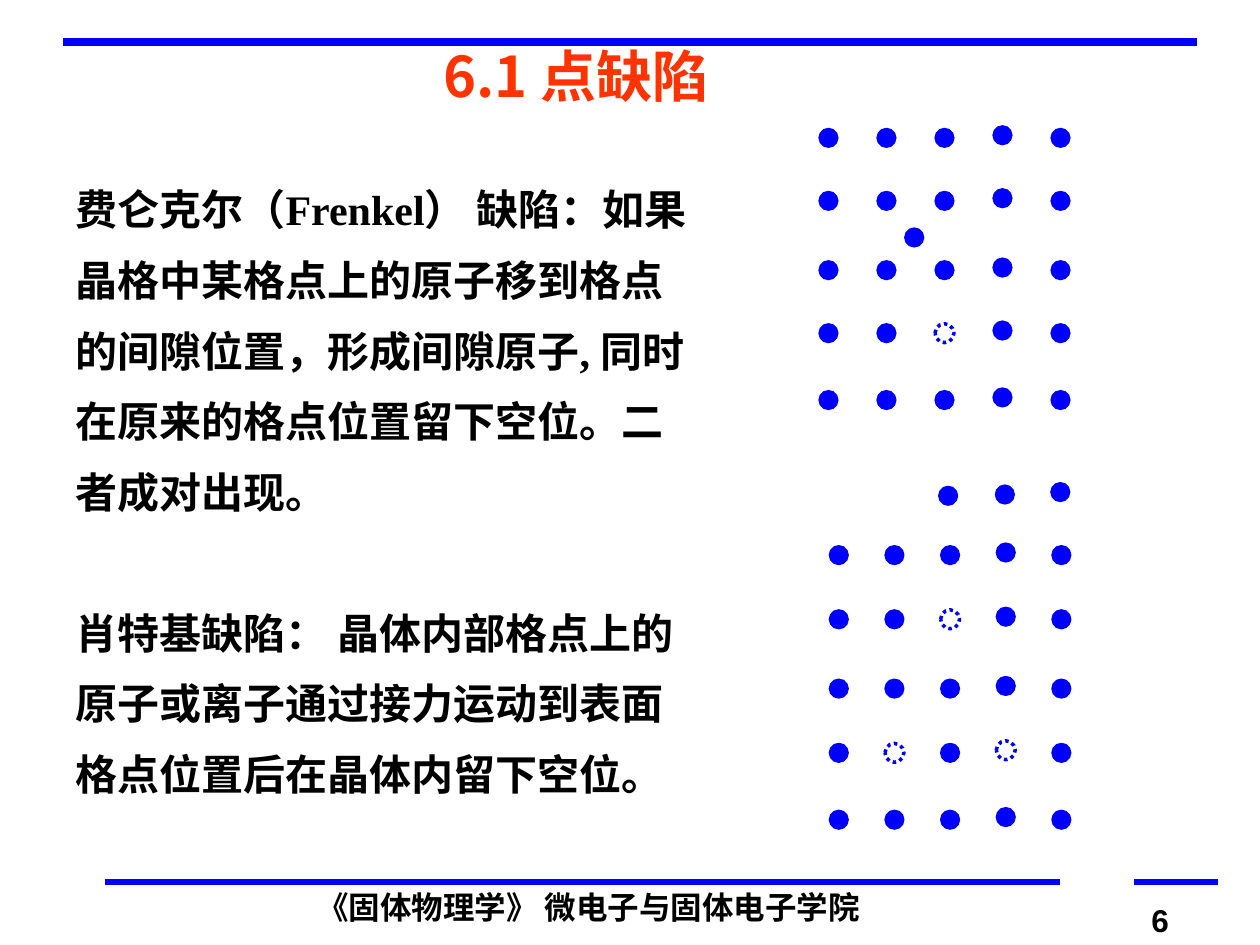
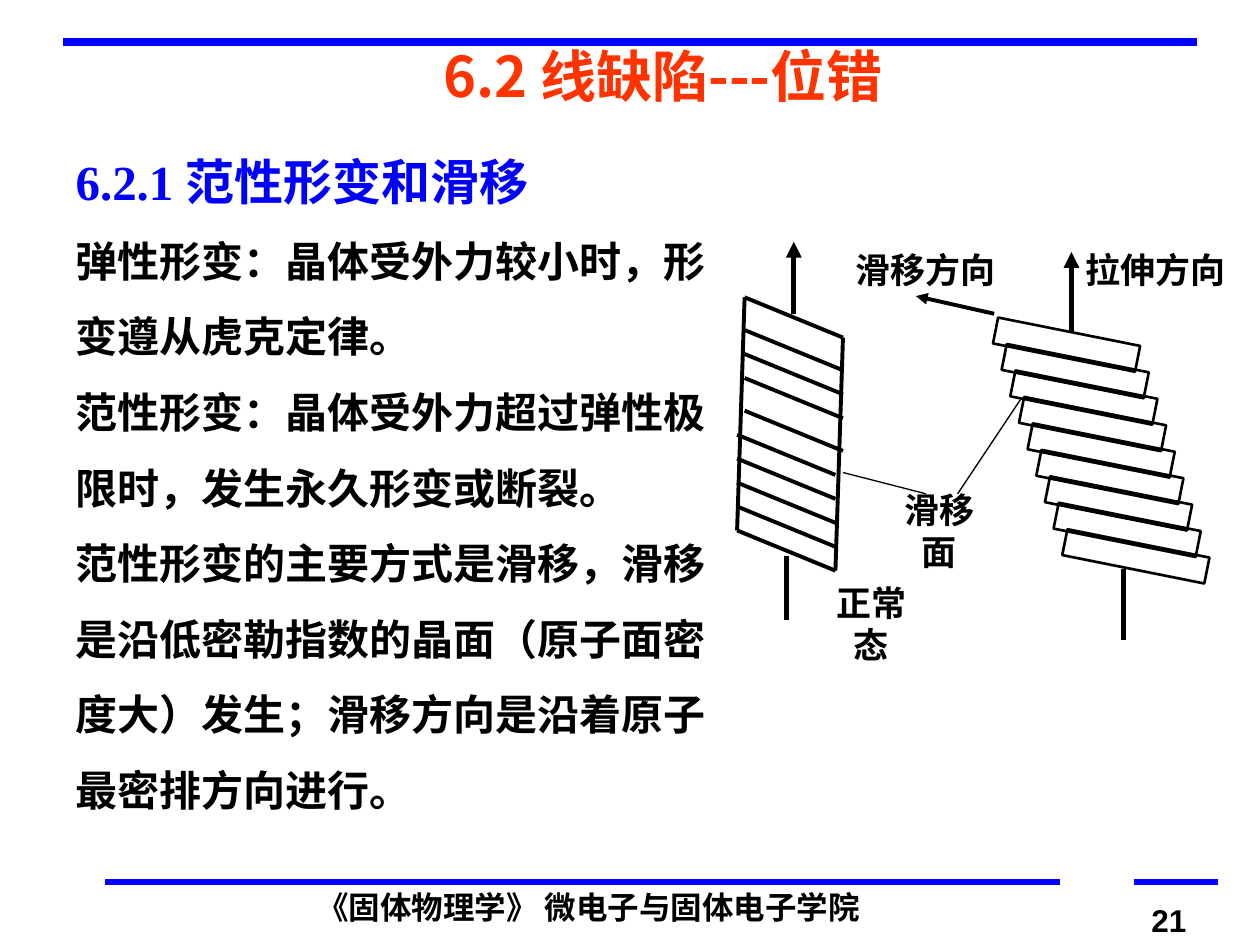
from lxml.etree import SubElement
from pptx import Presentation
from pptx.dml.color import RGBColor
from pptx.enum.dml import MSO_LINE
from pptx.enum.shapes import MSO_CONNECTOR, MSO_SHAPE
from pptx.enum.text import MSO_ANCHOR, MSO_AUTO_SIZE, PP_ALIGN
from pptx.oxml.ns import qn
from pptx.util import Pt

BLUE = RGBColor(0x00, 0x00, 0xFF)
RED = RGBColor(0xFF, 0x33, 0x00)
BLACK = RGBColor(0x00, 0x00, 0x00)
WHITE = RGBColor(0xFF, 0xFF, 0xFF)
SANS, SERIF, NUMERALS = "Noto Sans CJK SC", "Times New Roman", "Arial"


def style_text(p, size, color, font, align=PP_ALIGN.LEFT):
    p.alignment = align
    for r in p.runs:
        r.font.size, r.font.bold, r.font.name = Pt(size), True, font
        r.font.color.rgb = color
        SubElement(r._r.get_or_add_rPr(), qn("a:ea"), typeface=SANS)


def add_line(shapes, x1, y1, x2, y2, color, width, arrow=False):
    c = shapes.add_connector(MSO_CONNECTOR.STRAIGHT, Pt(x1), Pt(y1), Pt(x2), Pt(y2))
    c.line.color.rgb = color
    c.line.width = Pt(width)
    spPr = c._element.spPr
    if arrow:
        SubElement(spPr.find(qn("a:ln")), qn("a:tailEnd"), type="triangle")
    SubElement(spPr, qn("a:effectLst"))


prs = Presentation()
prs.slide_width, prs.slide_height = Pt(720), Pt(540)

# Content: title, title width, page number, body box, line spacing,
# space before the last paragraph, body paragraphs (text, size, colour), labels
FOOTER = "《固体物理学》 微电子与固体电子学院"
pages = [
    ("6.1 点缺陷", 292, "6", (36, 90, 372, 396), 1.4, 40.3, [
        ("费仑克尔（Frenkel） 缺陷：如果晶格中某格点上的原子移到格点的间隙位置，"
         "形成间隙原子, 同时在原来的格点位置留下空位。二者成对出现。", 24, BLACK),
        ("肖特基缺陷： 晶体内部格点上的原子或离子通过接力运动到表面格点位置后"
         "在晶体内留下空位。", 24, BLACK),
    ], []),
    ("6.2 线缺陷---位错", 330, "21", (36, 66, 378, 420), 1.5, 0, [
        ("6.2.1 范性形变和滑移", 28, BLUE),
        ("弹性形变：晶体受外力较小时，形变遵从虎克定律。", 24, BLACK),
        ("范性形变：晶体受外力超过弹性极限时，发生永久形变或断裂。", 24, BLACK),
        ("范性形变的主要方式是滑移，滑移是沿低密勒指数的晶面（原子面密度大）发生；"
         "滑移方向是沿着原子最密排方向进行。", 24, BLACK),
    ], [
        ("正常态", 460.8, 329, 74.2, PP_ALIGN.CENTER),
        ("滑移面", 499.7, 275.8, 74.2, PP_ALIGN.CENTER),
        ("滑移方向", 481.7, 138.2, 94.3, PP_ALIGN.CENTER),
        ("拉伸方向", 613.4, 138.2, 94.3, PP_ALIGN.LEFT),
    ]),
]

# Frame, title, body and labels of every slide
for title, title_width, number, box, spacing, last_gap, body, labels in pages:
    s = prs.slides.add_slide(prs.slide_layouts[1])
    for x1, x2, y, width in [(36, 684, 24, 4.5), (60, 606, 504, 3), (648, 696, 504, 3)]:
        add_line(s.shapes, x1, y, x2, y, BLUE, width)

    sp = s.shapes.title
    sp.left, sp.top, sp.width, sp.height = Pt(246), Pt(20), Pt(title_width), Pt(46)
    tf = sp.text_frame
    tf.text = title
    tf.vertical_anchor, tf.auto_size = MSO_ANCHOR.TOP, MSO_AUTO_SIZE.NONE
    style_text(tf.paragraphs[0], 32, RED, SANS)

    sp = s.placeholders[1]
    sp.left, sp.top, sp.width, sp.height = [Pt(v) for v in box]
    tf = sp.text_frame
    tf.auto_size = MSO_AUTO_SIZE.NONE
    tf.text = "\n".join(text for text, size, color in body)
    for p, (text, size, color) in zip(tf.paragraphs, body):
        style_text(p, size, color, SERIF)
        p.line_spacing, p.space_before = spacing, Pt(0)
        pPr = p._p.get_or_add_pPr()
        pPr.set("marL", "0")
        pPr.set("indent", "0")
        SubElement(pPr, qn("a:buNone"))
    tf.paragraphs[-1].space_before = Pt(last_gap)

    boxes = [(FOOTER, 174.2, 504, 331.2, 29, 18, SANS, PP_ALIGN.LEFT),
             (number, 650.9, 511.2, 101.5, 29, 18, NUMERALS, PP_ALIGN.LEFT)]
    boxes += [(text, x, y, w, 31.7, 20, SERIF, align) for text, x, y, w, align in labels]
    for text, x, y, w, h, size, font, align in boxes:
        tf = s.shapes.add_textbox(Pt(x), Pt(y), Pt(w), Pt(h)).text_frame
        tf.text = text
        tf.word_wrap, tf.auto_size = False, MSO_AUTO_SIZE.SHAPE_TO_FIT_TEXT
        style_text(tf.paragraphs[0], size, BLACK, font, align)

point_slide, line_slide = prs.slides

# Point defects: left, column step, row tops, vacancies (row, column), extra atoms
ATOM = 10.8
lattices = [
    (468, 33.15, [73.4, 109.4, 149, 185, 223.2], {(3, 2)}, [(517, 130.3)]),
    (473.9, 31.8, [311.8, 348.5, 388.1, 424.8, 463], {(1, 2), (3, 1), (3, 3)},
     [(600.5, 275.8), (568.8, 277.2), (536.4, 277.9)]),
]
for left, step, tops, vacancies, extras in lattices:
    group = point_slide.shapes.add_group_shape()
    # The fourth column sits slightly higher
    atoms = [(left + col * step, top - (1.5 if col == 3 else 0), (row, col) in vacancies)
             for row, top in enumerate(tops) for col in range(5)]
    atoms += [(x, y, False) for x, y in extras]
    for x, y, vacant in atoms:
        sp = group.shapes.add_shape(MSO_SHAPE.OVAL, Pt(x), Pt(y), Pt(ATOM), Pt(ATOM))
        sp.shadow.inherit = False
        sp.fill.solid()
        sp.fill.fore_color.rgb = WHITE if vacant else BLUE
        sp.line.color.rgb = BLUE
        sp.line.width = Pt(2 if vacant else 0.75)
        if vacant:
            sp.line.dash_style = MSO_LINE.ROUND_DOT

# Crystal in its normal state: two sides, slip planes, pulling force
crystal = line_slide.shapes.add_group_shape().shapes
WIDTH, DROP = 56.2, 23
for x in (0, 1):
    add_line(crystal, 425.5 + x * WIDTH, 169.9 + x * DROP,
             421.2 + x * WIDTH, 303.1 + x * DROP, BLACK, 2.25)
planes = [(425.5, y) for y in (169.9, 188.6, 202.3, 216, 234.7)]
planes += [(421.2, 248.4 + i * 13.68) for i in range(5)]
for x, y in planes:
    add_line(crystal, x, y, x + WIDTH, y + DROP, BLACK, 2.25)
add_line(crystal, 453.6, 179.3, 453.6, 138.2, BLACK, 3, arrow=True)
add_line(crystal, 449.3, 317.5, 449.3, 354.2, BLACK, 3)

# Slipped crystal: stepped layers, pulling force, slip direction
slipped = line_slide.shapes.add_group_shape().shapes
for i in range(9):
    sp = slipped.add_shape(MSO_SHAPE.RECTANGLE, Pt(568.1 + i * 4.95),
                           Pt(189.4 + i * 15.12), Pt(82.8), Pt(15.1))
    sp.rotation = 11.3
    sp.shadow.inherit = False
    sp.fill.background()
    sp.line.color.rgb = BLACK
    sp.line.width = Pt(1.5)
add_line(slipped, 612.3, 189.4, 612.3, 144, BLACK, 3, arrow=True)
add_line(slipped, 642.2, 325.4, 642.2, 365.8, BLACK, 3)
add_line(slipped, 568.1, 179.3, 523.4, 169.2, BLACK, 2.25, arrow=True)

# Leaders to the slip plane label
add_line(line_slide.shapes, 481.7, 270, 529.2, 282.2, BLACK, 0.75)
add_line(line_slide.shapes, 547.2, 282.2, 583.2, 228.2, BLACK, 0.75)

prs.save("out.pptx")
